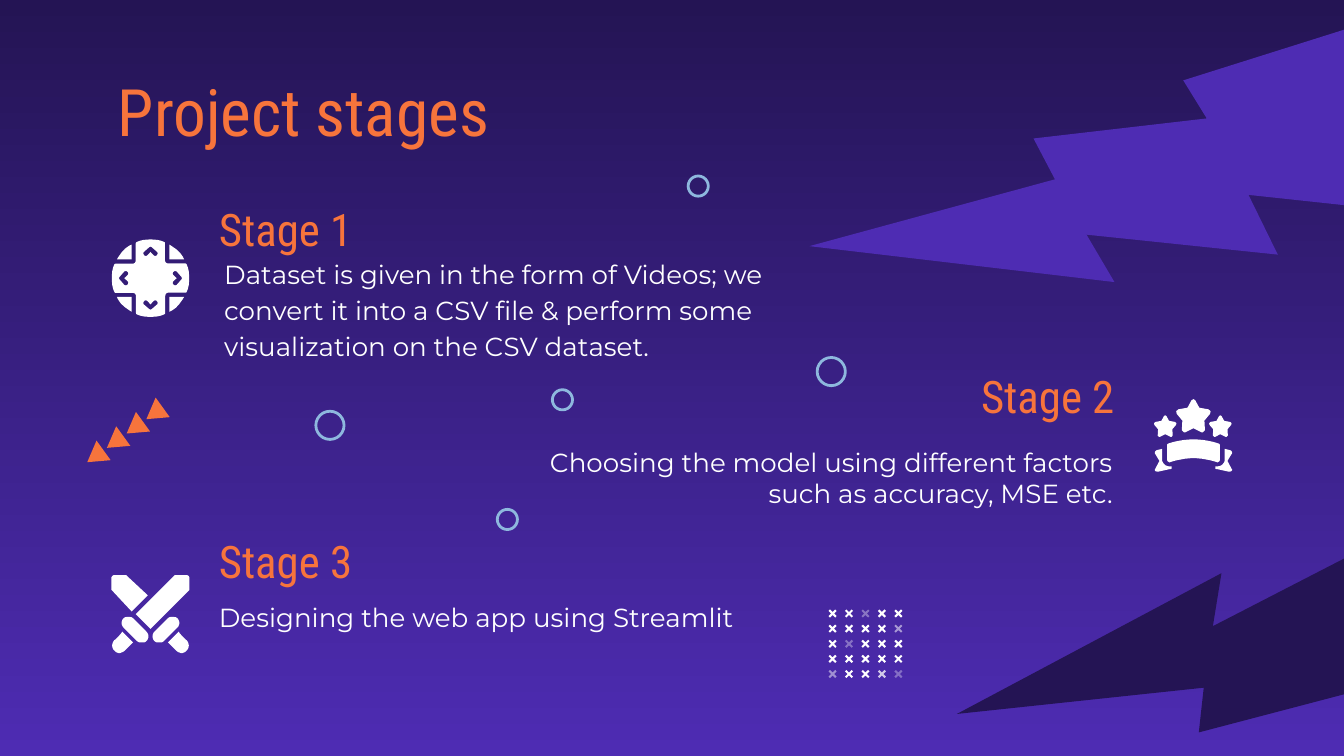
from lxml.etree import SubElement as Sub
from pptx import Presentation
from pptx.dml.color import RGBColor as Rgb
from pptx.enum.shapes import MSO_SHAPE as Kind
from pptx.enum.text import MSO_ANCHOR as Anchor, PP_ALIGN as Align
from pptx.oxml.ns import qn
from pptx.util import Inches, Pt

HUES = {"night": "241454", "violet": "4E2CB3", "orange": "F7743C",
        "white": "FFFFFF", "sky": "8EB8DE"}

FONTS = {
    "title": {"name": "Roboto Condensed", "size": Pt(35), "hue": "orange"},
    "stage": {"name": "Roboto Condensed", "size": Pt(24), "hue": "orange"},
    "body": {"name": "Montserrat", "size": Pt(14), "hue": "white"},
}
LOOSE = {"line_spacing": 1.15, "space_before": Pt(12), "space_after": Pt(12)}
RIGHT = {"alignment": Align.RIGHT}

TEXTS = [
    ("Project stages", "title", (0.78, 0.43, 8.43, 0.64), {}),
    ("Stage 1", "stage", (1.53, 1.48, 2.89, 0.44), {}),
    ("Dataset is given in the form of Videos; we convert it into a CSV file "
     "& perform some visualization on the CSV dataset.",
     "body", (1.57, 1.67, 4.27, 1.24), LOOSE),
    ("Stage 3", "stage", (1.53, 3.95, 2.97, 0.44), {}),
    ("Designing the web app using Streamlit", "body", (1.53, 4.21, 4.49, 0.77), {}),
    ("Stage 2", "stage", (5.5, 2.72, 2.89, 0.44), RIGHT),
    ("Choosing the model using different factors such as accuracy, MSE etc.",
     "body", (3.89, 3.17, 4.49, 0.77), RIGHT),
]

BOLTS = [((6.76, -0.39, 3.69, 3.69), 36.7, "violet", True),
         ((7.8, 2.94, 3.6, 3.6), 122, "night", False)]
RINGS = [(4.11, 2.9, 0.15), (6.08, 2.66, 0.21), (2.35, 3.06, 0.21),
         (3.7, 3.79, 0.15), (5.12, 1.31, 0.15)]
FADED = {(0, 2): 36, (1, 4): 53, (2, 1): 34, (4, 0): 48, (4, 3): 75, (4, 4): 33}

POMMEL = [(210, 130), (130, 210), (190, 270), (200, 280, 220, 290, 230, 290),
          (250, 290, 260, 280, 270, 270), (290, 250, 290, 220, 270, 195),
          (260, 190, 225, 155, 210, 130)]
GUARD = [(160, 20), (150, 20, 140, 20, 130, 30), (30, 130),
         (10, 150, 10, 180, 30, 200), (40, 210, 50, 210, 60, 210),
         (80, 210, 90, 210, 100, 200), (200, 100),
         (220, 80, 220, 50, 200, 30), (190, 20, 180, 20, 160, 20)]
STUB = [(-270, -290), (-280, -290, -290, -280, -290, -270), (-290, -180),
        (-280, -170), (-140, -20), (-20, -140), (-170, -280), (-180, -290)]
BLADE = [(180, -290), (170, -280), (-110, 0), (0, 110), (280, -170), (290, -180),
         (290, -270), (290, -280, 280, -290, 270, -290)]
TAIL = [(233, 100), (233, 180), (233, 210, 203, 230, 183, 230), (163, 230),
        (163, 240), (163, 250, 163, 250, 173, 250), (263, 270),
        (290, 270, 290, 255, 285, 250), (253, 190), (283, 140),
        (293, 130, 285, 115, 273, 110)]
BANNER = [(0, 30), (65, 30, 127, 40, 185, 60), (195, 63, 197, 70, 197, 80),
          (197, 180), (197, 190, 187, 200, 177, 200), (117, 180, 57, 170, 0, 170)]
STAR = [(0, 0), (14, 9), (44, 64), (112, 76), (128, 90), (124, 110), (82, 160),
        (86, 232), (70, 248), (60, 247), (0, 217)]
WEDGE = [(-140, -250), (-190, -230, -220, -190, -250, -140), (-140, -140)]
ARM = [(0, -288), (-30, -288, -70, -285, -100, -270),
       (-105, -268, -110, -265, -110, -255), (-110, -140),
       (-110, -115, -115, -108, -140, -108), (-255, -108),
       (-265, -108, -268, -105, -270, -100), (-285, -70, -288, -30, -288, 0)]
ARROW = [(0, -235), (10, -230), (50, -195), (58, -185, 50, -165, 35, -165),
         (25, -168), (0, -195), (-25, -168), (-35, -165),
         (-50, -165, -58, -185, -50, -195), (-10, -230)]


def trace(path, steps=8):
    pts = []
    for node in path:
        if len(node) == 2:
            pts.append(node)
            continue
        ends = [pts[-1], node[:2], node[2:4], node[4:]]
        for n in range(1, steps + 1):
            t = n / steps
            ws = ((1 - t) ** 3, 3 * t * (1 - t) ** 2, 3 * t * t * (1 - t), t ** 3)
            pts.append(tuple(sum(w * e[k] for w, e in zip(ws, ends)) for k in (0, 1)))
    return pts


def flip(pts):
    return [(-x, y) for x, y in pts]


def whole(path):
    half = trace(path)
    return half + flip(half)[::-1]


def turns(path):
    pts, out = trace(path), []
    for _ in range(4):
        out.append(pts)
        pts = [(y, -x) for x, y in pts]
    return out


def paint(shape, hue, alpha=None):
    shape.shadow.inherit = False
    shape.fill.solid()
    shape.fill.fore_color.rgb = Rgb.from_string(HUES[hue])
    shape.line.fill.background()
    if alpha:
        tint = shape._element.spPr.find(".//" + qn("a:srgbClr"))
        Sub(tint, qn("a:alpha")).set("val", str(alpha * 1000))


def draw(spot, *loops, size=1):
    pen = None
    for pts in loops:
        if pen is None:
            pen = shapes.build_freeform(*pts[0], scale=914.4 * size)
        else:
            pen.move_to(*pts[0])
        pen.add_line_segments(pts[1:], close=True)
    paint(pen.convert_to_shape(*map(Inches, spot)), "white")


def preset(kind, box, hue, turn=0, alpha=None):
    shape = shapes.add_shape(kind, *map(Inches, box))
    shape.rotation = turn
    paint(shape, hue, alpha)
    return shape


def write(words, role, box, form):
    frame = shapes.add_textbox(*map(Inches, box)).text_frame
    edges = {f"margin_{side}": Inches(0.1) for side in ("left", "right", "top", "bottom")}
    anchor = Anchor.TOP if role == "title" else Anchor.MIDDLE
    para = frame.paragraphs[0]
    run = para.add_run()
    run.text = words
    font = dict(FONTS[role])
    run.font.color.rgb = Rgb.from_string(HUES[font.pop("hue")])
    for item, looks in ((frame, {"word_wrap": True, "vertical_anchor": anchor, **edges}),
                        (para, form), (run.font, font)):
        for key, val in looks.items():
            setattr(item, key, val)


deck = Presentation()
deck.slide_width = Inches(10)
deck.slide_height = deck.slide_width * 9 // 16
slide = deck.slides.add_slide(deck.slide_layouts[6])
shapes = slide.shapes

back = slide.background.fill
back.gradient()
back.gradient_angle = 270
for stop, hue, place in zip(back.gradient_stops, ("night", "violet"), (0, 1)):
    stop.color.rgb = Rgb.from_string(HUES[hue])
    stop.position = place

for box, turn, hue, mirror in BOLTS:
    bolt = preset(Kind.LIGHTNING_BOLT, box, hue, turn)
    if mirror:
        bolt._element.spPr.find(qn("a:xfrm")).set("flipH", "1")

for row in TEXTS:
    write(*row)

swords, prize, pad = (1.12, 4.57), (8.88, 3.24), (1.12, 2.07)
for path in (POMMEL, GUARD):
    draw(swords, trace(path))
    draw(swords, flip(trace(path)))
for path in (STUB, BLADE):
    draw(swords, trace(path))

draw(prize, trace(TAIL))
draw(prize, flip(trace(TAIL)))
draw(prize, whole(BANNER))
for x, y, size in ((8.67, 3.09, 0.65), (8.88, 2.97, 1), (9.08, 3.09, 0.65)):
    draw((x, y), whole(STAR), size=size)

for wedge in turns(WEDGE):
    draw(pad, wedge)
draw(pad, sum(turns(ARM), []), *turns(ARROW))

for r in range(5):
    for c in range(5):
        box = (6.16 + 0.49 * c / 4, 4.53 + 0.45 * r / 4, 0.07, 0.07)
        cross = preset(Kind.CROSS, box, "white", 315, FADED.get((r, c)))
        cross.adjustments[0] = 0.39

for n in range(4):
    box = (1.06 - 0.44 * n / 3, 3 + 0.32 * n / 3, 0.18, 0.15)
    preset(Kind.ISOSCELES_TRIANGLE, box, "orange", 234.2)

for x, y, size in RINGS:
    ring = preset(Kind.OVAL, (x, y, size, size), "sky")
    ring.fill.background()
    ring.line.color.rgb = Rgb.from_string(HUES["sky"])
    ring.line.width = Pt(1.5)

deck.save("out.pptx")
